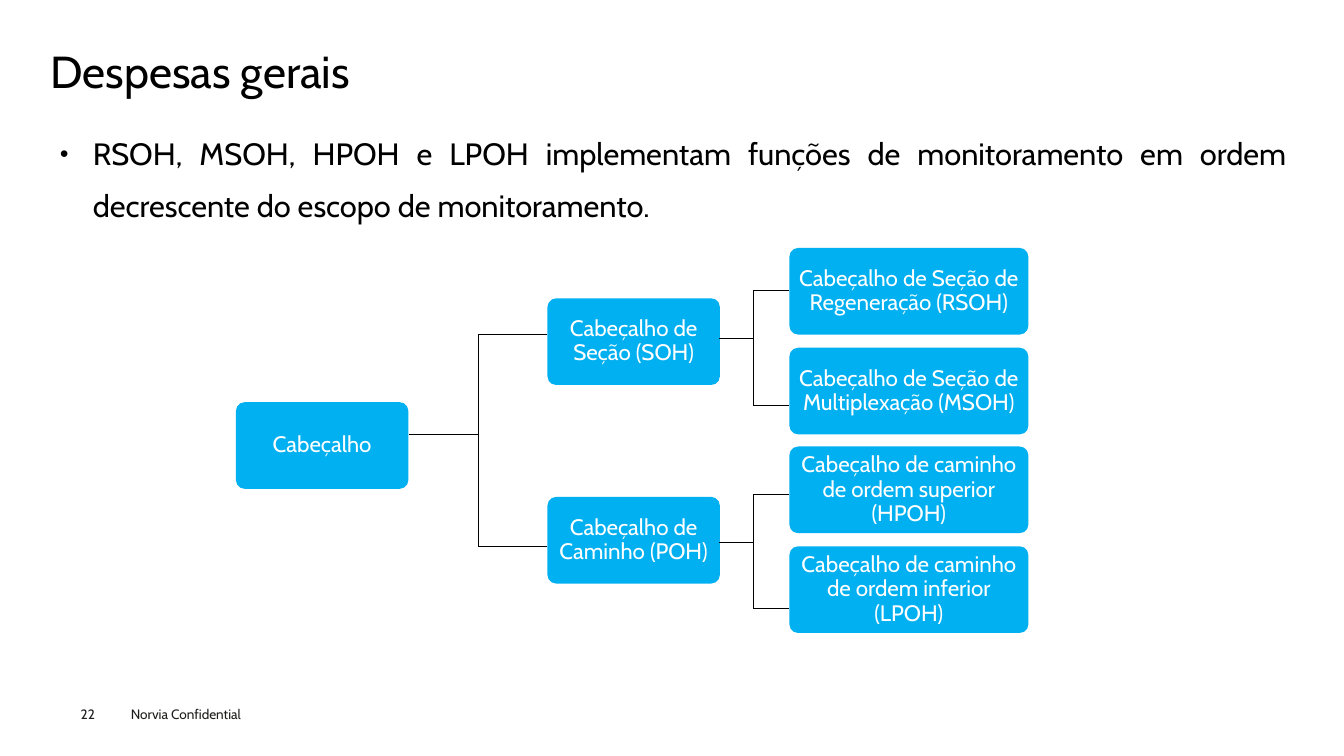
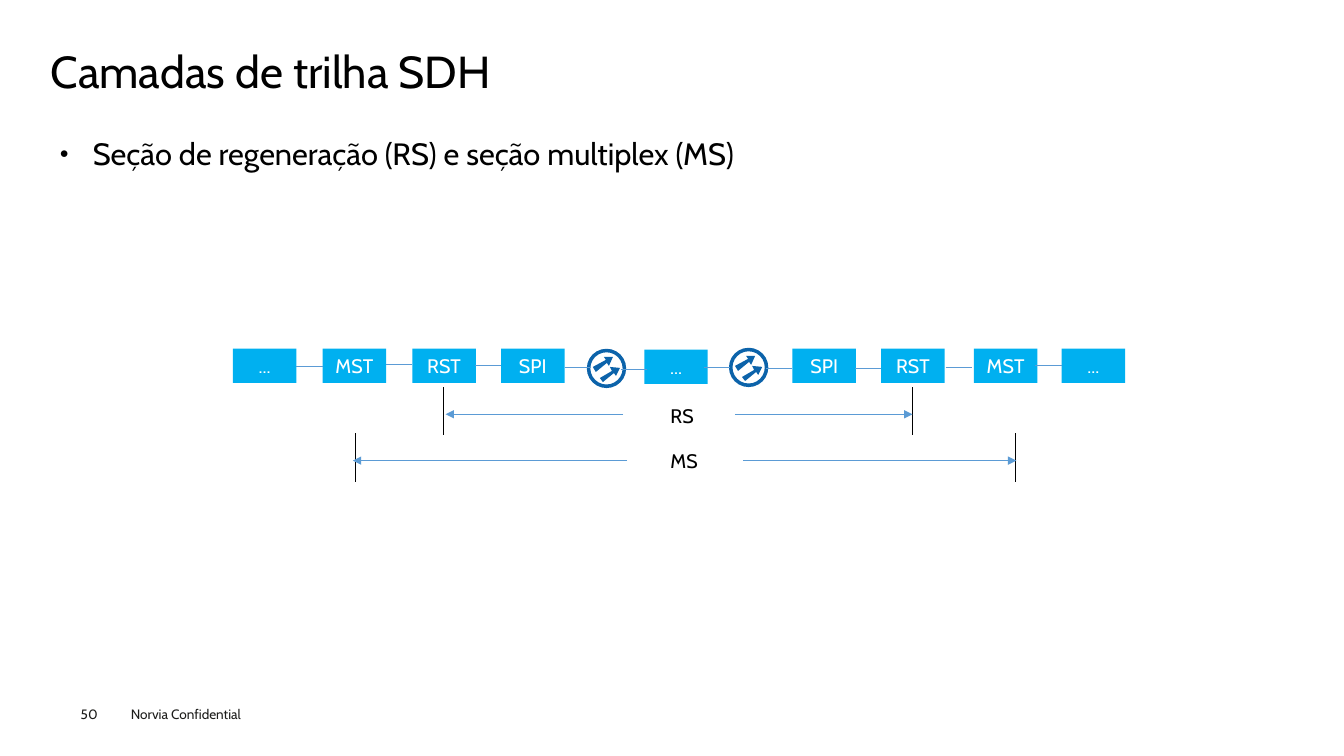
from lxml.etree import SubElement
from pptx import Presentation
from pptx.dml.color import RGBColor
from pptx.enum.shapes import MSO_CONNECTOR, MSO_SHAPE
from pptx.enum.text import MSO_ANCHOR, MSO_AUTO_SIZE, PP_ALIGN
from pptx.oxml.ns import qn
from pptx.util import Pt

SCALE = 9144
HUES = {
    "ink": "000000",
    "foot": "1D1D1B",
    "box": "00B0F0",
    "link": "5B9BD5",
    "icon": "0C63AA",
    "white": "FFFFFF",
}
ARROWS = (
    ((26, 8), (17, 8), (19, 11), (6, 18), (9, 23), (20, 14), (22, 17)),
    ((29, 27), (33, 19), (23, 18), (25, 22), (13, 29), (16, 33), (27, 24)),
)


def px(*sizes):
    return [size * SCALE for size in sizes]


def hue(name):
    return RGBColor.from_string(HUES[name])


def format(item, form):
    for key, value in form.items():
        setattr(item, key, value)


class Deck:
    face = "Cabin"

    def __init__(self):
        self.show = Presentation()
        size = px(1333, 750)
        format(self.show, dict(slide_width=size[0], slide_height=size[1]))

    def page(self, title, point, number):
        self.slide = self.show.slides.add_slide(self.show.slide_layouts[1])
        head, body = self.slide.placeholders
        self.move(head, 50, 49, 1235, 54)
        self.label(head, title, 32, line=0.9)
        self.move(body, 50, 115, 1235, 533)
        para = self.label(body, point, 22, pad=(9, 4), line=1.4, align=PP_ALIGN.JUSTIFY)
        self.bullet(para)
        self.text((120, 695, 160, 27), "Norvia Confidential", 9.7, "foot", pad=(10, 5))
        self.text((80, 700, 55, 16), number, 9.7, "foot")

    def move(self, item, *spot):
        format(item, dict(zip(("left", "top", "width", "height"), px(*spot))))

    def bullet(self, para):
        props = para._p.get_or_add_pPr()
        props.set("marL", str(33 * SCALE))
        props.set("indent", str(-33 * SCALE))
        for tag, key, value in (
            ("a:buSzPct", "val", "50000"),
            ("a:buFont", "typeface", "Arial"),
            ("a:buChar", "char", "●"),
        ):
            SubElement(props, qn(tag)).set(key, value)

    def label(self, item, text, size, color="ink", pad=(0, 0), line=1.0,
              align=PP_ALIGN.LEFT, anchor=MSO_ANCHOR.TOP):
        side, edge = px(*pad)
        frame = item.text_frame
        format(frame, dict(
            word_wrap=True, auto_size=MSO_AUTO_SIZE.NONE, vertical_anchor=anchor,
            margin_left=side, margin_right=side, margin_top=edge, margin_bottom=edge))
        para = frame.paragraphs[0]
        format(para, dict(alignment=align, line_spacing=line, space_before=Pt(0)))
        run = para.add_run()
        run.text = text
        format(run.font, dict(name=self.face, size=Pt(size)))
        run.font.color.rgb = hue(color)
        return para

    def text(self, spot, text, size, color="ink", **form):
        item = self.slide.shapes.add_textbox(*px(*spot))
        self.label(item, text, size, color, **form)

    def paint(self, item, color):
        item.shadow.inherit = False
        item.fill.solid()
        item.fill.fore_color.rgb = hue(color)
        item.line.fill.background()

    def shape(self, kind, spot, color, bend=None):
        item = self.slide.shapes.add_shape(kind, *px(*spot))
        self.paint(item, color)
        if bend is not None:
            item.adjustments[0] = bend
        return item

    def box(self, spot, text, size, kind=MSO_SHAPE.RECTANGLE, bend=None, line=1.0):
        item = self.shape(kind, spot, "box", bend)
        self.label(item, text, size, "white", pad=(2, 2), line=line,
                   align=PP_ALIGN.CENTER, anchor=MSO_ANCHOR.MIDDLE)

    def node(self, left, top, width, text):
        self.box((left, top, width, 86), text, 16, MSO_SHAPE.ROUNDED_RECTANGLE, 0.1, 0.9)

    def line(self, *ends, color="ink", arrow=False):
        item = self.slide.shapes.add_connector(MSO_CONNECTOR.STRAIGHT, *px(*ends))
        item.line.width = Pt(0.5)
        item.line.color.rgb = hue(color)
        if arrow:
            SubElement(item.line._get_or_add_ln(), qn("a:tailEnd")).set("type", "triangle")
        SubElement(item._element.spPr, qn("a:effectLst"))

    def fork(self, left, trunk, right, stem, top, base):
        self.line(trunk, top, trunk, base)
        self.line(left, stem, trunk, stem)
        for row in (top, base):
            self.line(trunk, row, right, row)

    def icon(self, left, top):
        self.shape(MSO_SHAPE.DONUT, (left, top, 39, 39), "icon", 0.09)
        first, *rest = [[(left + x, top + y) for x, y in part] for part in ARROWS]
        pen = self.slide.shapes.build_freeform(*first[0], scale=SCALE)
        pen.add_line_segments(first[1:], close=True)
        for part in rest:
            pen.move_to(*part[0])
            pen.add_line_segments(part[1:], close=True)
        self.paint(pen.convert_to_shape(), "icon")

    def span(self, name, row, place, ticks, tips, gap):
        for tick, tip, start in zip(ticks, tips, gap):
            self.line(tick, row - 27, tick, row + 21)
            self.line(start, row, tip, row, color="link", arrow=True)
        self.text((*place, 135, 34), name, 14, pad=(10, 5), align=PP_ALIGN.CENTER)


def tree(deck):
    deck.page(
        "Despesas gerais",
        "RSOH, MSOH, HPOH e LPOH implementam funções de monitoramento em ordem "
        "decrescente do escopo de monitoramento.", "22")
    deck.node(234, 399, 171, "Cabeçalho")
    deck.fork(406, 474, 543, 431, 332, 542)
    groups = (
        ("Cabeçalho de Seção (SOH)",
         "Cabeçalho de Seção de Regeneração (RSOH)",
         "Cabeçalho de Seção de Multiplexação (MSOH)"),
        ("Cabeçalho de Caminho (POH)",
         "Cabeçalho de caminho de ordem superior (HPOH)",
         "Cabeçalho de caminho de ordem inferior (LPOH)"),
    )
    for rank, (name, *leaves) in enumerate(groups):
        top = 246 + rank * 197
        deck.node(543, top + 50, 171, name)
        for row, leaf in enumerate(leaves):
            deck.node(783, top + row * 99, 237, leaf)
        drop = rank * 202
        deck.fork(713, 747, 783, 336 + drop, 288 + drop, 402 + drop)


def trail(deck):
    deck.page("Camadas de trilha SDH", "Seção de regeneração (RS) e seção multiplex (MS)", "50")
    names = ("...", "MST", "RST", "SPI", "...", "SPI", "RST", "MST", "...")
    lefts = (231, 320, 409, 497, 639, 786, 874, 966, 1053)
    for left, name in zip(lefts, names):
        deck.box((left, 347 if left == 639 else 346, 63, 34), name, 14)
    deck.icon(582, 346)
    deck.icon(723, 345)
    deck.span("RS", 411, (609, 396), (440, 905), (442, 905), (618, 729))
    deck.span("MS", 457, (611, 440), (352, 1007), (350, 1008), (622, 737))
    links = ((294, 363), (383, 361), (471, 362), (560, 364), (616, 366),
             (698, 364), (760, 365), (848, 365), (938, 364), (1027, 362))
    for left, row in links:
        deck.line(left, row, left + 26, row, color="link")


def main():
    deck = Deck()
    tree(deck)
    trail(deck)
    deck.show.save("out.pptx")


if __name__ == "__main__":
    main()
